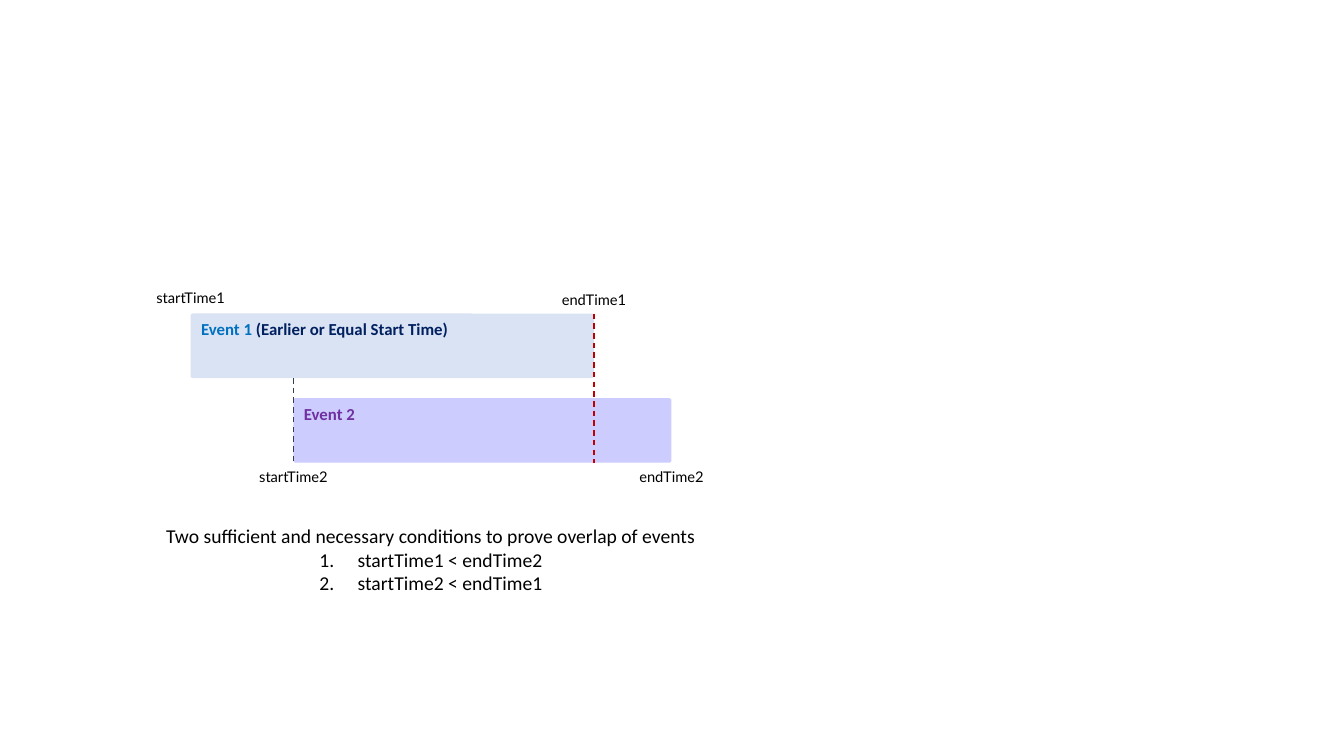
from dataclasses import dataclass
from typing import Any

from pptx import Presentation
from pptx.dml.color import RGBColor as Rgb
from pptx.enum.dml import MSO_LINE_DASH_STYLE as Dash
from pptx.enum.shapes import MSO_CONNECTOR_TYPE as Connector, MSO_SHAPE as Preset
from pptx.enum.text import MSO_ANCHOR as Anchor, MSO_AUTO_SIZE as AutoSize, PP_ALIGN as Align
from pptx.oxml.ns import qn
from pptx.util import Emu, Inches, Pt
from lxml.etree import SubElement

WIDTH, HEIGHT = Inches(13.33), Inches(7.5)
COLORS = {
    "event1": "DAE3F3", "event2": "CCCCFF", "blue": "0070C0", "navy": "002060",
    "purple": "7030A0", "black": "000000", "start": "333F50", "end": "C00000",
}
LABEL_WIDTH, LABEL_HEIGHT = 0.0670, 0.0377
BAR_HEIGHT = 0.0853
START1, START2, END1, END2 = 0.1418, 0.2183, 0.4419, 0.4996
TOP1, TOP2, GUIDE_BOTTOM = 0.4147, 0.5267, 0.6120


@dataclass(frozen=True)
class Span:
    text: str
    color: str


@dataclass(frozen=True)
class Event:
    start: float
    end: float
    top: float
    fill: str
    spans: tuple[Span, ...]


@dataclass(frozen=True)
class Label:
    text: str
    center: float
    top: float


@dataclass(frozen=True)
class Guide:
    x: float
    top: float
    color: str


EVENTS = (
    Event(START1, END1, TOP1, "event1",
          (Span("Event 1 ", "blue"), Span("(Earlier or Equal Start Time)", "navy"))),
    Event(START2, END2, TOP2, "event2", (Span("Event 2", "purple"),)),
)
LABELS = (
    Label("startTime1", START1, 0.3760),
    Label("endTime1", END1, 0.3787),
    Label("startTime2", START2, GUIDE_BOTTOM),
    Label("endTime2", END2, GUIDE_BOTTOM),
)
GUIDES = (
    Guide(START2, TOP1 + BAR_HEIGHT, "start"),
    Guide(END1, TOP1, "end"),
)
HEADING = "Two sufficient and necessary conditions to prove overlap of events"
CONDITIONS = ("startTime1 < endTime2", "startTime2 < endTime1")


def across(share: float) -> Emu:
    return Emu(round(WIDTH * share))


def down(share: float) -> Emu:
    return Emu(round(HEIGHT * share))


def color_of(name: str) -> Rgb:
    return Rgb.from_string(COLORS[name])


def apply_format(target: Any, values: dict[str, Any]) -> None:
    for name, value in values.items():
        setattr(target, name, value)


def add_span(para: Any, span: Span, font: str, size: float, bold: bool = False) -> None:
    run = para.add_run()
    run.text = span.text
    apply_format(run.font, {"name": font, "size": Pt(size), "bold": bold})
    run.font.color.rgb = color_of(span.color)


def draw_event(page: Any, event: Event) -> None:
    bar = page.shapes.add_shape(Preset.ROUNDED_RECTANGLE, across(event.start), down(event.top),
                                across(event.end - event.start), down(BAR_HEIGHT))
    bar.adjustments[0] = 0.035
    bar.shadow.inherit = False
    bar.fill.solid()
    bar.fill.fore_color.rgb = color_of(event.fill)
    bar.line.fill.background()
    apply_format(bar.text_frame, {"word_wrap": True, "vertical_anchor": Anchor.TOP})
    para = bar.text_frame.paragraphs[0]
    para.alignment = Align.LEFT
    for span in event.spans:
        add_span(para, span, "Calibri", 12, True)


def draw_label(page: Any, label: Label) -> None:
    box = page.shapes.add_textbox(across(label.center - LABEL_WIDTH / 2), down(label.top),
                                  across(LABEL_WIDTH), down(LABEL_HEIGHT))
    apply_format(box.text_frame, {"word_wrap": False, "auto_size": AutoSize.SHAPE_TO_FIT_TEXT})
    para = box.text_frame.paragraphs[0]
    para.alignment = Align.CENTER
    add_span(para, Span(label.text, "black"), "Lato", 10.5)


def draw_guide(page: Any, guide: Guide) -> None:
    line = page.shapes.add_connector(Connector.STRAIGHT, across(guide.x), down(guide.top),
                                     across(guide.x), down(GUIDE_BOTTOM))
    apply_format(line.line, {"width": Pt(1), "dash_style": Dash.DASH})
    line.line.color.rgb = color_of(guide.color)
    SubElement(line._element.spPr, qn("a:effectLst"))


def number_para(para: Any) -> None:
    properties = para._p.get_or_add_pPr()
    indent = Inches(0.38)
    properties.set("marL", str(indent))
    properties.set("indent", str(-indent))
    SubElement(properties, qn("a:buFont"), typeface="+mj-lt")
    SubElement(properties, qn("a:buAutoNum"), type="arabicPeriod")


def draw_conditions(page: Any) -> None:
    box = page.shapes.add_textbox(across(0.1080), down(0.6867), across(0.4253), down(0.1080))
    frame = box.text_frame
    apply_format(frame, {"word_wrap": True, "auto_size": AutoSize.SHAPE_TO_FIT_TEXT})
    for index, text in enumerate((HEADING, *CONDITIONS)):
        para = frame.add_paragraph() if index else frame.paragraphs[0]
        if index:
            number_para(para)
        para.alignment = Align.CENTER
        add_span(para, Span(text, "black"), "Calibri", 14)


def main() -> None:
    deck = Presentation()
    apply_format(deck, {"slide_width": WIDTH, "slide_height": HEIGHT})
    page = deck.slides.add_slide(deck.slide_layouts[6])
    for event in EVENTS:
        draw_event(page, event)
    for label in LABELS:
        draw_label(page, label)
    for guide in GUIDES:
        draw_guide(page, guide)
    draw_conditions(page)
    deck.save("out.pptx")


if __name__ == "__main__":
    main()
